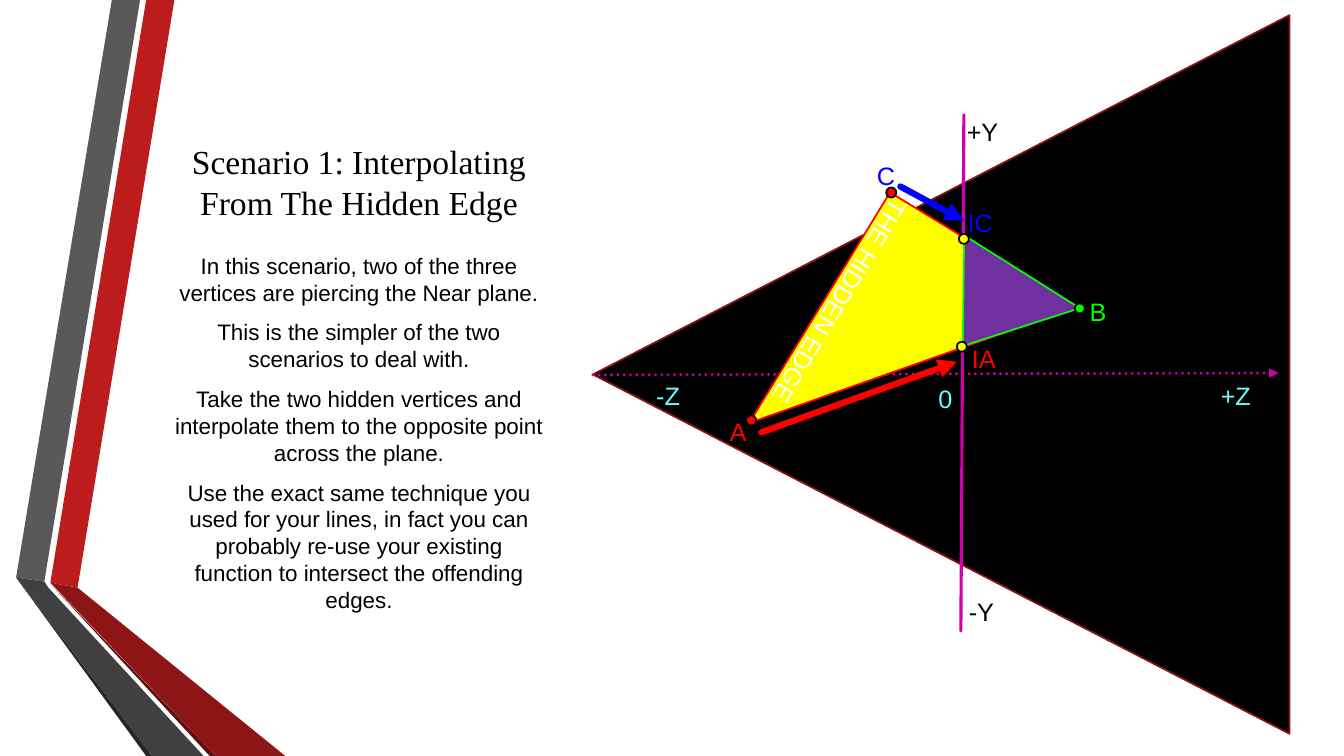
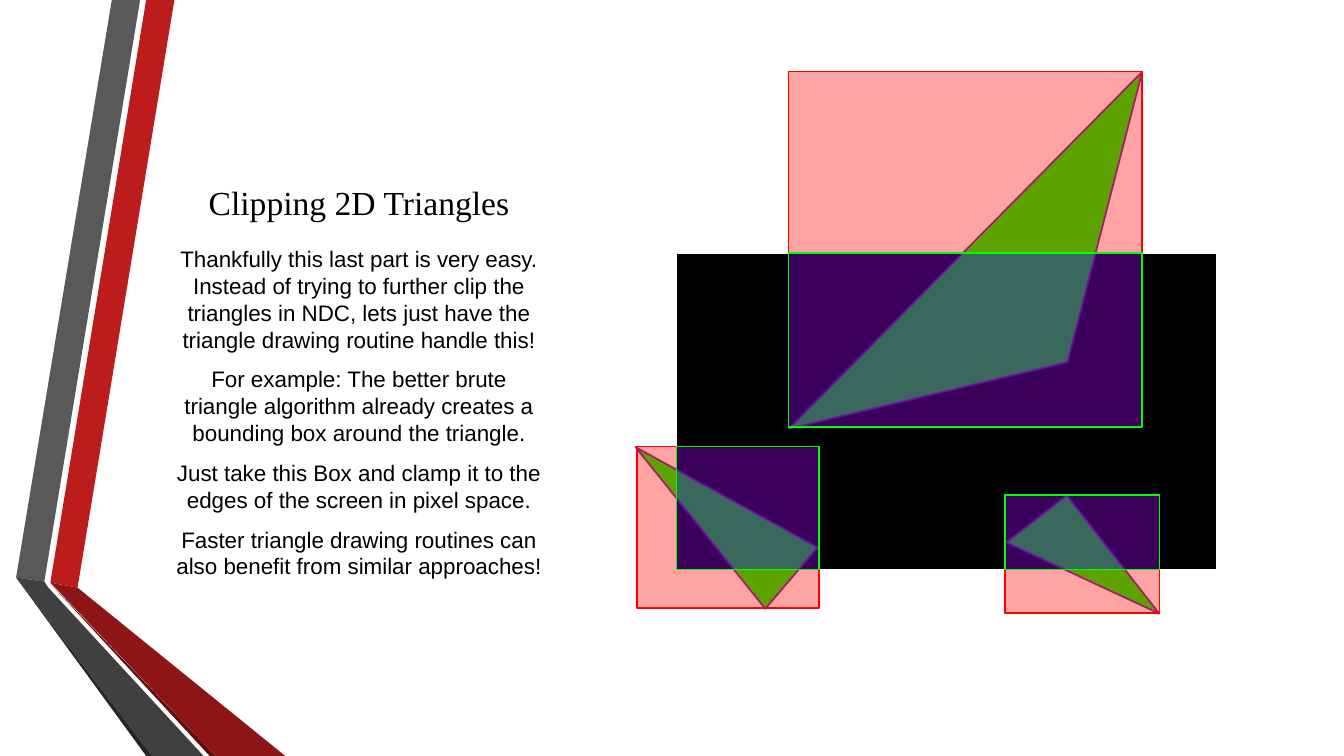
from collections import namedtuple

from pptx import Presentation
from pptx import util as u
from pptx.dml.color import RGBColor
from pptx.enum import dml, shapes, text
from pptx.oxml import ns
from lxml import etree

Box = namedtuple("Box", "left top width height")

WHITE = RGBColor(0xFF, 0xFF, 0xFF)
BLACK = RGBColor(0x00, 0x00, 0x00)
RED = RGBColor(0xFF, 0x00, 0x00)
GREEN = RGBColor(0x00, 0xFF, 0x00)
BLUE = RGBColor(0x00, 0x00, 0xFF)
YELLOW = RGBColor(0xFF, 0xFF, 0x00)
PURPLE = RGBColor(0x70, 0x30, 0xA0)
MAGENTA = RGBColor(0xCF, 0x01, 0xA8)
CYAN = RGBColor(0x66, 0xFF, 0xFF)
MAROON = RGBColor(0x8B, 0x15, 0x15)

RIBBONS = [
    (RGBColor(0xBC, 0x1C, 0x1C), [(0.5, 5.78), (0.77, 5.83), (1.73, 0), (1.45, 0)]),
    (RGBColor(0x59, 0x59, 0x59), [(1.39, 0), (1.11, 0), (0.16, 5.73), (0.44, 5.77)]),
    (RGBColor(0x26, 0x26, 0x26), [(0.16, 5.73), (1.45, 7.5), (1.51, 7.5)]),
    (RGBColor(0x5E, 0x0E, 0x0E), [(0.5, 5.79), (2.08, 7.5), (2.14, 7.5)]),
    (RGBColor(0x8D, 0x15, 0x15), [(0.5, 5.78), (2.14, 7.5), (2.83, 7.5), (0.77, 5.83)]),
    (RGBColor(0x40, 0x40, 0x40), [(2.02, 7.5), (0.48, 5.83), (0.44, 5.77), (0.16, 5.73), (1.51, 7.5)]),
]

TITLE_BOX = Box(1.62, 0.75, 3.88, 1.5)
BODY_BOX = Box(1.62, 2.25, 3.88, 4.08)
FRUSTUM_BOX = Box(5.8, 0, 7.1, 7.5)
CLIPPING_BOX = Box(6.3, 0.7, 5.8, 5.4)


def within(region, left, top, width, height):
    return Box(region.left + left, region.top + top, width, height)


def add_text(slide, box, paragraphs, size=18, font="Arial", color=BLACK, wrap=False,
             align=text.PP_ALIGN.LEFT, anchor=text.MSO_ANCHOR.TOP, before=0, after=0, rotation=0):
    holder = slide.shapes.add_textbox(*map(u.Inches, box))
    holder.rotation = rotation
    frame = holder.text_frame
    frame.word_wrap = wrap
    frame.vertical_anchor = anchor
    for index, words in enumerate(paragraphs):
        paragraph = frame.add_paragraph() if index else frame.paragraphs[0]
        paragraph.alignment = align
        paragraph.space_before = u.Pt(before if index else 0)
        paragraph.space_after = u.Pt(after)
        run = paragraph.add_run()
        run.text = words
        run.font.size = u.Pt(size)
        run.font.name = font
        run.font.color.rgb = color


def add_figure(slide, kind, box, fill, line, alpha=None, rotation=0, apex=None, flip=False):
    figure = slide.shapes.add_shape(kind, *map(u.Inches, box))
    figure.shadow.inherit = False
    figure.fill.solid()
    figure.fill.fore_color.rgb = fill
    figure.line.color.rgb = line
    figure.line.width = u.Pt(1.25)
    figure.rotation = rotation
    if apex is not None:
        figure.adjustments[0] = apex
    if flip:
        figure._element.spPr.xfrm.set("flipV", "1")
    if alpha is not None:
        tint = figure._element.spPr.find(ns.qn("a:solidFill"))[0]
        etree.SubElement(tint, ns.qn("a:alpha")).set("val", str(alpha * 1000))


def add_triangle(slide, box, fill, line, **options):
    add_figure(slide, shapes.MSO_SHAPE.ISOSCELES_TRIANGLE, box, fill, line, **options)


def add_line(slide, region, start, end, color, width=2.25, dotted=False, arrow=False):
    points = [region[i % 2] + value for i, value in enumerate(start + end)]
    line = slide.shapes.add_connector(shapes.MSO_CONNECTOR.STRAIGHT, *map(u.Inches, points))
    line.line.color.rgb = color
    line.line.width = u.Pt(width)
    if dotted:
        line.line.dash_style = dml.MSO_LINE.ROUND_DOT
    properties = line._element.spPr
    outline = properties.find(ns.qn("a:ln"))
    outline.set("cap", "rnd")
    if arrow:
        etree.SubElement(outline, ns.qn("a:tailEnd")).set("type", "triangle")
    etree.SubElement(properties, ns.qn("a:effectLst"))


def add_ribbons(slide):
    for color, corners in RIBBONS:
        (x, y), *rest = [(u.Inches(a), u.Inches(b)) for a, b in corners]
        builder = slide.shapes.build_freeform(x, y)
        builder.add_line_segments(rest, close=True)
        ribbon = builder.convert_to_shape()
        ribbon.shadow.inherit = False
        ribbon.fill.solid()
        ribbon.fill.fore_color.rgb = color
        ribbon.line.fill.background()


def add_lesson(deck, title, body, body_box=BODY_BOX):
    slide = deck.slides.add_slide(deck.slide_layouts[6])
    add_ribbons(slide)
    centre = text.PP_ALIGN.CENTER
    add_text(slide, TITLE_BOX, [title], size=24, font="Times New Roman", wrap=True,
             align=centre, anchor=text.MSO_ANCHOR.BOTTOM)
    add_text(slide, body_box, body, size=16, wrap=True, align=centre,
             anchor=text.MSO_ANCHOR.MIDDLE, before=3.2, after=6)
    return slide


def draw_frustum(slide, region):
    add_triangle(slide, within(region, -0.03, 0.26, 7.13, 6.91), BLACK, MAROON, rotation=270)
    add_line(slide, region, (3.76, 1.14), (3.73, 6.26), MAGENTA)
    add_line(slide, region, (0.08, 3.72), (6.88, 3.7), MAGENTA, dotted=True, arrow=True)
    add_triangle(slide, within(region, 2.17, 2.28, 2.18, 2.68), YELLOW, RED, rotation=211.4, apex=1)
    add_triangle(slide, within(region, 3.56, 2.23, 1.22, 1.04), PURPLE, GREEN, rotation=342.1, apex=0.287)
    for words, left, top, width, color in [
        ("-Y", 3.71, 5.87, 0.45, BLACK),
        ("+Y", 3.69, 1.1, 0.52, BLACK),
        ("+Z", 6.21, 3.72, 0.5, CYAN),
        ("-Z", 0.61, 3.72, 0.44, CYAN),
        ("0", 3.41, 3.75, 0.34, CYAN),
        ("A", 1.34, 4.08, 0.33, RED),
        ("B", 4.91, 2.89, 0.33, GREEN),
        ("C", 2.8, 1.54, 0.33, BLUE),
        ("IA", 3.74, 3.36, 0.47, RED),
        ("IC", 3.7, 2.01, 0.47, BLUE),
    ]:
        add_text(slide, within(region, left, top, width, 0.4), [words], color=color)
    add_line(slide, region, (1.75, 4.29), (3.69, 3.59), RED, width=4.5, arrow=True)
    add_line(slide, region, (3.13, 1.85), (3.76, 2.19), BLUE, width=4.5, arrow=True)
    add_text(slide, within(region, 1.19, 2.84, 2.62, 0.4), ["THE HIDDEN EDGE"],
             color=WHITE, wrap=True, rotation=121.4)
    for left, top, color in [(3.69, 3.39, YELLOW), (3.71, 2.32, YELLOW), (1.6, 4.12, RED),
                             (2.99, 1.86, RED), (4.86, 3.01, GREEN)]:
        add_figure(slide, shapes.MSO_SHAPE.OVAL, within(region, left, top, 0.1, 0.1), color, BLACK)


def clamp(box, limits):
    left, top = max(box.left, limits.left), max(box.top, limits.top)
    right = min(box.left + box.width, limits.left + limits.width)
    bottom = min(box.top + box.height, limits.top + limits.height)
    return Box(left, top, right - left, bottom - top)


def draw_clipping(slide, region):
    rectangle = shapes.MSO_SHAPE.RECTANGLE
    screen = within(region, 0.41, 1.81, 5.36, 3.14)
    add_figure(slide, rectangle, screen, BLACK, WHITE)
    for triangle, rotation, apex, flip, bounds in [
        ((1.32, 1.56, 4.98, 1.5), 134.7, 0.516, False, (1.52, 0.01, 3.51, 3.53)),
        ((0.38, 3.37, 0.8, 2.02), 130.4, 0.516, True, (0.02, 3.73, 1.8, 1.6)),
        ((4.06, 4.29, 0.76, 1.49), 322, 1, True, (3.67, 4.21, 1.53, 1.17)),
    ]:
        add_triangle(slide, within(region, *triangle), GREEN, PURPLE,
                     rotation=rotation, apex=apex, flip=flip)
        bounding = within(region, *bounds)
        add_figure(slide, rectangle, bounding, RED, RED, alpha=36)
        add_figure(slide, rectangle, clamp(bounding, screen), BLUE, GREEN, alpha=36)


def main():
    deck = Presentation()
    deck.slide_width, deck.slide_height = u.Inches(13.33), u.Inches(7.5)
    hidden_edge = add_lesson(deck, "Scenario 1: Interpolating From The Hidden Edge", [
        "In this scenario, two of the three vertices are piercing the Near plane.",
        "This is the simpler of the two scenarios to deal with.",
        "Take the two hidden vertices and interpolate them to the opposite point across the plane.",
        "Use the exact same technique you used for your lines, in fact you can probably re-use "
        "your existing function to intersect the offending edges.",
    ])
    draw_frustum(hidden_edge, FRUSTUM_BOX)
    clipping = add_lesson(deck, "Clipping 2D Triangles", [
        "Thankfully this last part is very easy. Instead of trying to further clip the triangles "
        "in NDC, lets just have the triangle drawing routine handle this!",
        "For example: The better brute triangle algorithm already creates a bounding box around "
        "the triangle.",
        "Just take this Box and clamp it to the edges of the screen in pixel space.",
        "Faster triangle drawing routines can also benefit from similar approaches!",
    ], body_box=BODY_BOX._replace(height=3.68))
    draw_clipping(clipping, CLIPPING_BOX)
    deck.save("out.pptx")


if __name__ == "__main__":
    main()
